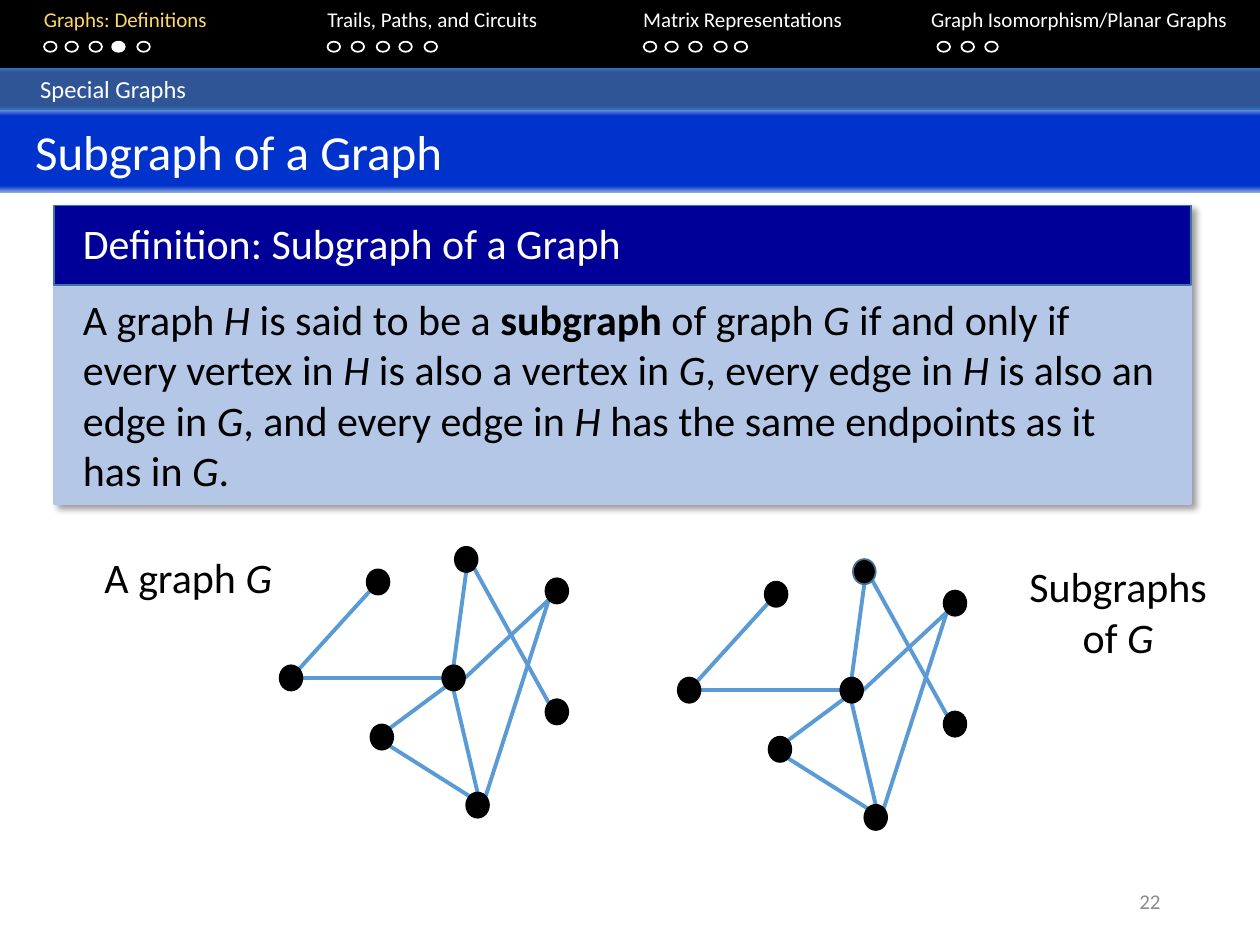
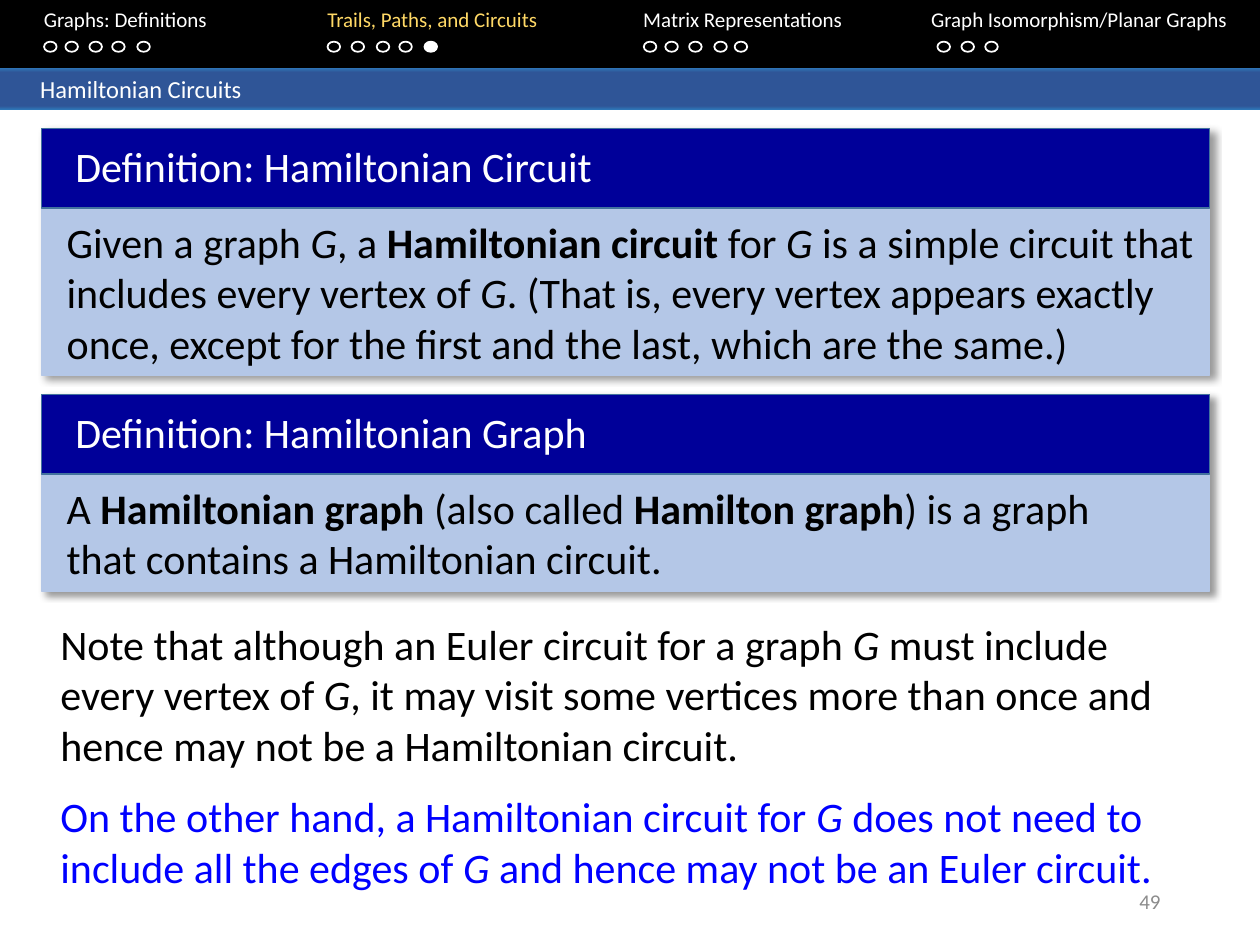
from dataclasses import dataclass, field
from typing import NamedTuple

from lxml import etree
from pptx import Presentation
from pptx.dml import color
from pptx.enum import shapes, text
from pptx.oxml import ns
from pptx.util import Pt

FONT = "Calibri"
BLACK, WHITE, GOLD, GREY, BLUE = "000000", "FFFFFF", "FFD966", "8C8C8C", "0000FF"
NAVY, PALE, RIM, EDGE = "000099", "B4C7E7", "43739E", "5B9BD5"
SECTION_STOPS = ((0, "2E75B6"), (11, "2F5597"), (91, "2F5597"), (100, "2E75B6"))
TITLE_STOPS = ((0, "8FAADC"), (9, "0033CC"), (92, "0033CC"), (100, "8FAADC"))
RECTANGLE, OVAL = shapes.MSO_SHAPE.RECTANGLE, shapes.MSO_SHAPE.OVAL
LEFT, CENTER, RIGHT = text.PP_ALIGN.LEFT, text.PP_ALIGN.CENTER, text.PP_ALIGN.RIGHT
TOP, MIDDLE = text.MSO_ANCHOR.TOP, text.MSO_ANCHOR.MIDDLE


class Box(NamedTuple):
    left: float
    top: float
    width: float
    height: float


class Span(NamedTuple):
    words: str
    bold: bool = False
    italic: bool = False
    colour: str = BLACK


class Topic(NamedTuple):
    label: str
    tab: float
    dots: tuple


class Edge(NamedTuple):
    start: str
    start_side: str
    end: str
    end_side: str


@dataclass
class Card:
    box: Box
    heading: str
    heading_left: float
    body_left: float
    body_width: float
    body: list


@dataclass
class Graph:
    dx: float = 0
    dy: float = 0
    rims: dict = field(default_factory=dict)


TOPICS = (
    Topic("Graphs: Definitions", 18, (25.2, 37.4, 51.1, 64.1, 78.5)),
    Topic("Trails, Paths, and Circuits", 180, (187.2, 200.9, 215.3, 228.2, 242.6)),
    Topic("Matrix Representations", 360.5, (367.9, 380.2, 393.8, 408.2, 419.8)),
    Topic("Graph Isomorphism/Planar Graphs", 525, (535.7, 549.4, 563)),
)
VERTEX_WIDTH, VERTEX_HEIGHT = 13, 14.4
VERTICES = {
    "northwest": (216, 332.6),
    "north": (266.4, 319.7),
    "west": (166.3, 387.4),
    "southwest": (218.2, 421.2),
    "east": (318.2, 406.8),
    "south": (272.9, 460.1),
    "northeast": (318.2, 337.7),
    "hub": (259.2, 387.4),
}
SIDES = {
    "top": (0, -1), "bottom": (0, 1), "left": (-1, 0), "right": (1, 0),
    "top left": (-0.71, -0.71), "top right": (0.71, -0.71),
    "bottom left": (-0.71, 0.71), "bottom right": (0.71, 0.71),
}
EDGES = (
    Edge("west", "top right", "northwest", "bottom left"),
    Edge("west", "right", "hub", "left"),
    Edge("southwest", "bottom right", "south", "top left"),
    Edge("north", "bottom", "hub", "top"),
    Edge("north", "bottom right", "east", "top left"),
    Edge("northeast", "bottom left", "hub", "right"),
    Edge("hub", "bottom", "south", "top"),
    Edge("hub", "bottom left", "southwest", "top right"),
    Edge("northeast", "bottom left", "south", "top right"),
)


def hue(code: str) -> color.RGBColor:
    return color.RGBColor.from_string(code)


def italic(words: str, colour: str = BLACK) -> Span:
    return Span(words, italic=True, colour=colour)


def bold(words: str) -> Span:
    return Span(words, bold=True)


def place(shape, box: Box) -> None:
    shape.left, shape.top, shape.width, shape.height = map(Pt, box)


def add_shape(holder, kind, box: Box, fill: str = "", line: str = ""):
    shape = holder.shapes.add_shape(kind, *map(Pt, box))
    shape.shadow.inherit = False
    if fill:
        shape.fill.solid()
        shape.fill.fore_color.rgb = hue(fill)
    else:
        shape.fill.background()
    if line:
        shape.line.color.rgb = hue(line)
        shape.line.width = Pt(1)
    else:
        shape.line.fill.background()
    return shape


def write(frame, paragraphs: list, size: float = 24, align=LEFT, anchor=TOP, after: float = 0) -> None:
    frame.word_wrap = True
    frame.auto_size = text.MSO_AUTO_SIZE.NONE
    frame.vertical_anchor = anchor
    for index, spans in enumerate(paragraphs):
        para = frame.add_paragraph() if index else frame.paragraphs[0]
        para.alignment = align
        para.space_after = Pt(after)
        for span in spans:
            span = Span(span) if isinstance(span, str) else span
            run = para.add_run()
            run.text = span.words
            run.font.name = FONT
            run.font.size = Pt(size)
            run.font.bold = span.bold
            run.font.italic = span.italic
            run.font.color.rgb = hue(span.colour)


def add_text(holder, box: Box, paragraphs: list, **style):
    frame = holder.shapes.add_textbox(*map(Pt, box)).text_frame
    write(frame, paragraphs, **style)
    return frame


def shade(shape, stops: tuple) -> None:
    shape.fill.gradient()
    shape.fill.gradient_angle = 270
    stop_list = shape.element.spPr.find(".//" + ns.qn("a:gsLst"))
    stop_list.clear()
    for percent, code in stops:
        stop = etree.SubElement(stop_list, ns.qn("a:gs"), pos=str(percent * 1000))
        etree.SubElement(stop, ns.qn("a:srgbClr"), val=code)


def dress_band(shape, box: Box, stops: tuple, words: str, size: float, indent: float) -> None:
    place(shape, box)
    shade(shape, stops)
    write(shape.text_frame, [[Span(words, colour=WHITE)]], size=size, anchor=MIDDLE)
    shape.text_frame.margin_left = Pt(indent)
    shape.text_frame.margin_top = shape.text_frame.margin_bottom = 0


def cast_shadow(shape) -> None:
    effects = shape.element.spPr.find(ns.qn("a:effectLst"))
    shadow = etree.SubElement(effects, ns.qn("a:outerShdw"), blurRad=str(Pt(4)),
                              dist=str(Pt(3)), dir="2700000", algn="tl", rotWithShape="0")
    tint = etree.SubElement(shadow, ns.qn("a:srgbClr"), val=BLACK)
    etree.SubElement(tint, ns.qn("a:alpha"), val="40000")


def draw_navigation(page, current_topic: int, current_dot: int) -> None:
    add_shape(page, RECTANGLE, Box(0, 0, 720, 38.9), fill=BLACK)
    spans = [Span("\t" + topic.label, colour=GOLD if index == current_topic else WHITE)
             for index, topic in enumerate(TOPICS)]
    frame = add_text(page, Box(0, 0, 720, 36), [spans], size=12)
    properties = frame.paragraphs[0]._p.get_or_add_pPr()
    tabs = etree.SubElement(properties, ns.qn("a:tabLst"))
    for index, topic in enumerate(TOPICS):
        etree.SubElement(tabs, ns.qn("a:tab"), pos=str(Pt(topic.tab)), algn="l")
        for number, left in enumerate(topic.dots):
            active = (index, number) == (current_topic, current_dot)
            add_shape(page, OVAL, Box(left, 23.8, 7.2, 5.8), WHITE if active else "", WHITE)


def add_page(deck, topic: int, dot: int, section: str, number: str, title: str = ""):
    page = deck.slides.add_slide(deck.slide_layouts.get_by_name("Title Only"))
    draw_navigation(page, topic, dot)
    section_box = Box(0, 38.9, 720, 23.8)
    band = add_shape(page, RECTANGLE, section_box) if title else page.shapes.title
    dress_band(band, section_box, SECTION_STOPS, section, 14, 23)
    if title:
        dress_band(page.shapes.title, Box(0, 61.9, 720, 48.2), TITLE_STOPS, title, 28, 20)
    add_text(page, Box(508.3, 500.4, 162, 28.8), [[Span(number, colour=GREY)]],
             size=12, align=RIGHT, anchor=MIDDLE)
    return page


def draw_card(page, card: Card) -> None:
    group = page.shapes.add_group_shape()
    left, top, width, height = card.box
    cast_shadow(add_shape(group, RECTANGLE, card.box, PALE, PALE))
    add_shape(group, RECTANGLE, Box(left, top, width, 45.4), NAVY, RIM)
    add_text(group, Box(card.heading_left, top + 3.6, 495, 36), [[Span(card.heading, colour=WHITE)]])
    add_text(group, Box(card.body_left, top + 46.8, card.body_width, height - 46.8),
             [card.body], after=6)


def side_point(graph: Graph, vertex: str, side: str) -> tuple:
    x, y = VERTICES[vertex]
    across, down = SIDES[side]
    return (Pt(x + graph.dx + across * VERTEX_WIDTH / 2),
            Pt(y + graph.dy + down * VERTEX_HEIGHT / 2))


def draw_graph(page, graph: Graph) -> None:
    group = page.shapes.add_group_shape()
    for edge in EDGES:
        line = group.shapes.add_connector(
            shapes.MSO_CONNECTOR.STRAIGHT,
            *side_point(graph, edge.start, edge.start_side),
            *side_point(graph, edge.end, edge.end_side))
        line.line.color.rgb = hue(EDGE)
        line.line.width = Pt(2.25)
        etree.SubElement(line.element.spPr, ns.qn("a:effectLst"))
    for name, (x, y) in VERTICES.items():
        box = Box(x + graph.dx - VERTEX_WIDTH / 2, y + graph.dy - VERTEX_HEIGHT / 2,
                  VERTEX_WIDTH, VERTEX_HEIGHT)
        add_shape(group, OVAL, box, BLACK, graph.rims.get(name, BLACK))


def build_subgraph_page(deck) -> None:
    page = add_page(deck, 0, 3, "Special Graphs", "22", "Subgraph of a Graph")
    g, h = italic("G"), italic("H")
    draw_card(page, Card(
        Box(31, 117.4, 649.4, 170.6), "Definition: Subgraph of a Graph", 40.3, 40.3, 630.7,
        ["A graph ", italic("H "), "is said to be a ", bold("subgraph"), " of graph ", g,
         " if and only if every vertex in ", h, " is also a vertex in ", g,
         ", every edge in ", h, " is also an edge in ", g, ", and every edge in ", h,
         " has the same endpoints as it has in ", g, "."]))
    draw_graph(page, Graph())
    draw_graph(page, Graph(227.5, 7, {"north": RIM}))
    add_text(page, Box(40.3, 311.8, 134.6, 36), [["A graph ", g]], align=CENTER)
    add_text(page, Box(571.7, 316.8, 134.6, 65.5), [["Subgraphs of ", g]], align=CENTER)


def build_hamiltonian_page(deck) -> None:
    page = add_page(deck, 1, 4, "Hamiltonian Circuits", "49")
    g, blue_g = italic("G"), italic("G", BLUE)
    draw_card(page, Card(
        Box(23.8, 73.4, 667.4, 141.1), "Definition: Hamiltonian Circuit", 36, 31, 660.2,
        ["Given a graph ", g, ", a ", bold("Hamiltonian circuit "), "for ", italic("G "),
         "is a simple circuit that includes every vertex of ", g,
         ". (That is, every vertex appears exactly once, except for the first and the last, "
         "which are the same.)"]))
    draw_card(page, Card(
        Box(23.8, 225.4, 667.4, 112.3), "Definition: Hamiltonian Graph", 36, 31, 640.8,
        ["A ", bold("Hamiltonian graph "), "(also called ", bold("Hamilton graph"),
         ") is a graph that contains a Hamiltonian circuit."]))
    euler_note = ["Note that although an Euler circuit for a graph ", g,
                  " must include every vertex of ", g,
                  ", it may visit some vertices more than once and hence may not be "
                  "a Hamiltonian circuit."]
    converse_note = [Span("On the other hand, a Hamiltonian circuit for ", colour=BLUE), blue_g,
                     Span(" does not need to include all the edges of ", colour=BLUE), blue_g,
                     Span(" and hence may not be an Euler circuit.", colour=BLUE)]
    add_text(page, Box(27.4, 349.9, 648, 164.9), [euler_note, converse_note], after=12)


def main() -> None:
    deck = Presentation()
    deck.slide_width, deck.slide_height = Pt(720), Pt(540)
    build_subgraph_page(deck)
    build_hamiltonian_page(deck)
    deck.save("out.pptx")


if __name__ == "__main__":
    main()
